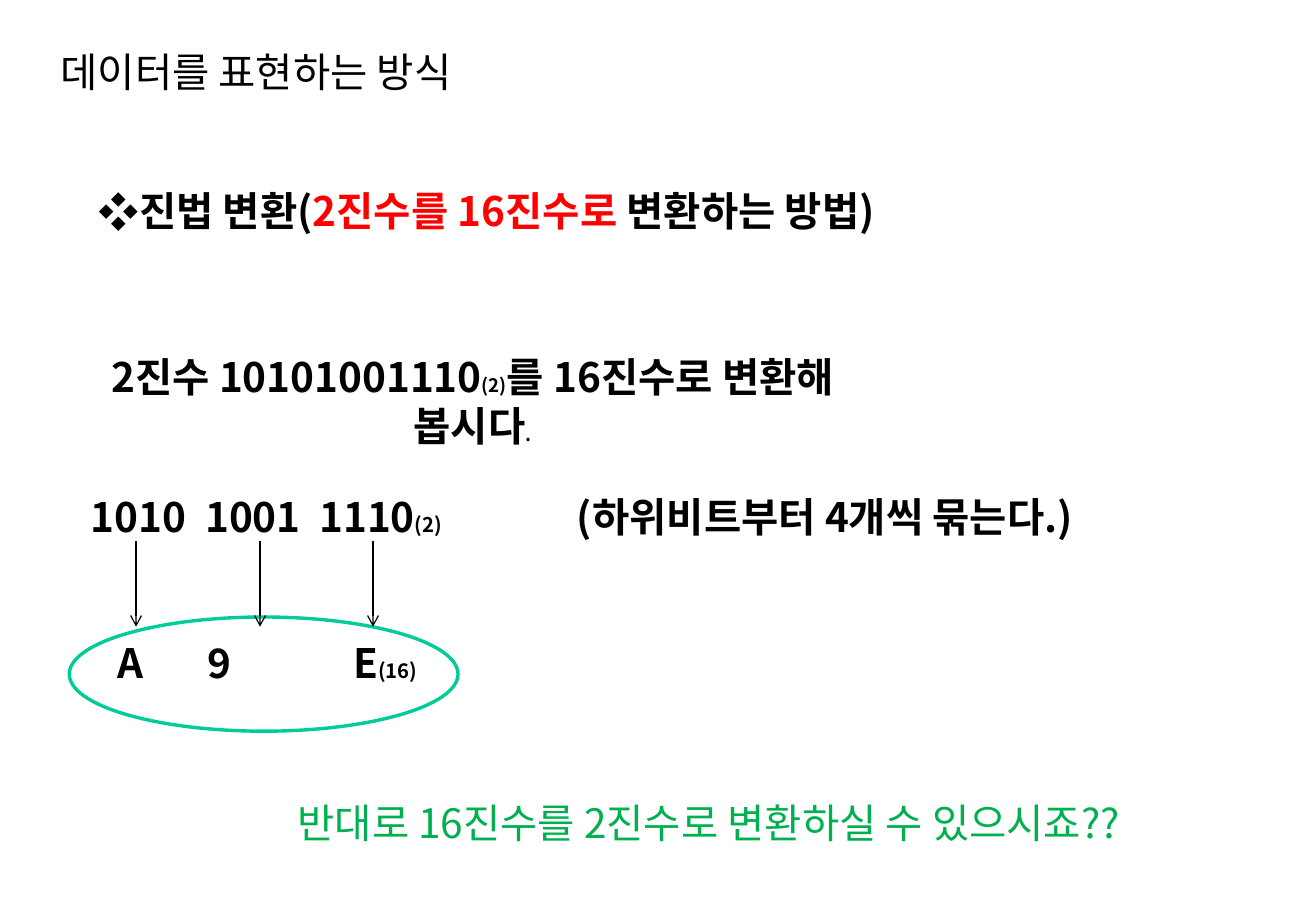
import pptx
import pptx.dml.color
import pptx.enum.shapes
import pptx.enum.text
import pptx.oxml.ns
import pptx.util
import lxml.etree

Inches = pptx.util.Inches
Pt = pptx.util.Pt
RGBColor = pptx.dml.color.RGBColor
ALIGN = pptx.enum.text.PP_ALIGN
ANCHOR = pptx.enum.text.MSO_ANCHOR

BLACK = RGBColor(0x00, 0x00, 0x00)
WHITE = RGBColor(0xFF, 0xFF, 0xFF)
RED = RGBColor(0xFF, 0x00, 0x00)
GREEN = RGBColor(0x00, 0xB0, 0x50)
TEAL = RGBColor(0x00, 0xCC, 0x99)
FONT = "Noto Sans CJK KR"

PLAIN = {"name": FONT, "size": Pt(24), "bold": False}
BOLD = {**PLAIN, "bold": True}
BASE_2 = {**BOLD, "size": Pt(11)}
BASE_NOTE = {**BOLD, "size": Pt(12)}


def add_element(parent, tag, **attributes):
    element = lxml.etree.SubElement(parent, pptx.oxml.ns.qn(tag))
    for name, value in attributes.items():
        element.set(name, str(value))
    return element


def add_run(paragraph, text, formats, color=BLACK):
    run = paragraph.add_run()
    run.text = text
    run.font.color.rgb = color
    for name, value in formats.items():
        setattr(run.font, name, value)
    add_element(run.font._element, "a:ea", typeface=FONT)


def fill_paragraph(paragraph, runs, **formats):
    """Set paragraph attributes and add runs of (text, formats[, color])."""
    for name, value in formats.items():
        setattr(paragraph, name, value)
    for run in runs:
        add_run(paragraph, *run)


def add_text_box(slide, left, top, width, height, **formats):
    """Add an empty text box and return its text frame."""
    box = slide.shapes.add_textbox(
        Inches(left), Inches(top), Inches(width), Inches(height))
    for name, value in {"word_wrap": True, **formats}.items():
        setattr(box.text_frame, name, value)
    return box.text_frame


def set_bullet(paragraph, character):
    properties = paragraph._p.get_or_add_pPr()
    properties.set("marL", "0")
    properties.set("indent", "0")
    add_element(properties, "a:buFont", typeface=FONT)
    add_element(properties, "a:buChar", char=character)


def set_tab_stops(paragraph, stops):
    tab_list = add_element(paragraph._p.get_or_add_pPr(), "a:tabLst")
    for stop in stops:
        add_element(tab_list, "a:tab", pos=int(Inches(stop)), algn="l")


def add_result_ellipse(slide):
    ellipse = slide.shapes.add_shape(
        pptx.enum.shapes.MSO_SHAPE.OVAL,
        Inches(0.57), Inches(5.08), Inches(3.2), Inches(0.94))
    ellipse.shadow.inherit = False
    ellipse.fill.solid()
    ellipse.fill.fore_color.rgb = WHITE
    ellipse.line.color.rgb = TEAL
    ellipse.line.width = Pt(2)


def add_down_arrow(slide, x, top, bottom):
    arrow = slide.shapes.add_connector(
        pptx.enum.shapes.MSO_CONNECTOR.STRAIGHT,
        Inches(x), Inches(top), Inches(x), Inches(bottom))
    arrow.line.color.rgb = BLACK
    arrow.line.width = Pt(0.75)
    add_element(arrow.line._get_or_add_ln(), "a:tailEnd", type="arrow")
    add_element(arrow._element.spPr, "a:effectLst")


def add_conversion(slide):
    """Add the four-bit groups and, below them, their hexadecimal digits."""
    frame = add_text_box(slide, 0.65, 4, 9.14, 1.72)
    groups = frame.paragraphs[0]
    fill_paragraph(groups, [
        ("1010\t1001\t1110", BOLD),
        ("(2)", BASE_NOTE),
        ("\t(하위비트부터 4개씩 묶는다.)", BOLD),
    ])
    set_tab_stops(groups, [0.94, 1.88, 4])
    digits = frame.add_paragraph()
    fill_paragraph(digits, [("\tA\t9\tE", BOLD), ("(16)", BASE_NOTE)],
                   space_before=Pt(57.6))
    set_tab_stops(digits, [0.22, 0.96, 2.16])


def main():
    presentation = pptx.Presentation()
    presentation.slide_width = Inches(10.83)
    presentation.slide_height = Inches(7.5)
    slide = presentation.slides.add_slide(presentation.slide_layouts[6])

    add_result_ellipse(slide)

    title = add_text_box(slide, 0.4, 0.32, 6.26, 0.54,
                         vertical_anchor=ANCHOR.MIDDLE)
    fill_paragraph(title.paragraphs[0], [("데이터를 표현하는 방식", PLAIN)])

    heading = add_text_box(slide, 0.49, 1.48, 7.03, 0.5, word_wrap=False)
    fill_paragraph(heading.paragraphs[0], [
        ("진법 변환(", BOLD),
        ("2진수를 16진수로", BOLD, RED),
        (" 변환하는 방법)", BOLD),
    ], alignment=ALIGN.CENTER)
    set_bullet(heading.paragraphs[0], "❖")

    task = add_text_box(slide, 0.59, 2.85, 6.6, 0.9)
    fill_paragraph(task.paragraphs[0], [
        ("2진수 10101001110", BOLD),
        ("(2)", BASE_2),
        ("를 16진수로 변환해 봅시다", BOLD),
        (".", BASE_2),
    ], alignment=ALIGN.CENTER)

    add_conversion(slide)
    for x in (1.12, 2.14, 3.07):
        add_down_arrow(slide, x, 4.45, 5.16)

    question = add_text_box(slide, 2.35, 6.52, 7.72, 0.5)
    fill_paragraph(question.paragraphs[0], [
        ("반대로 16진수를 2진수로 변환하실 수 있으시죠??", PLAIN, GREEN)])

    presentation.save("out.pptx")


if __name__ == "__main__":
    main()
